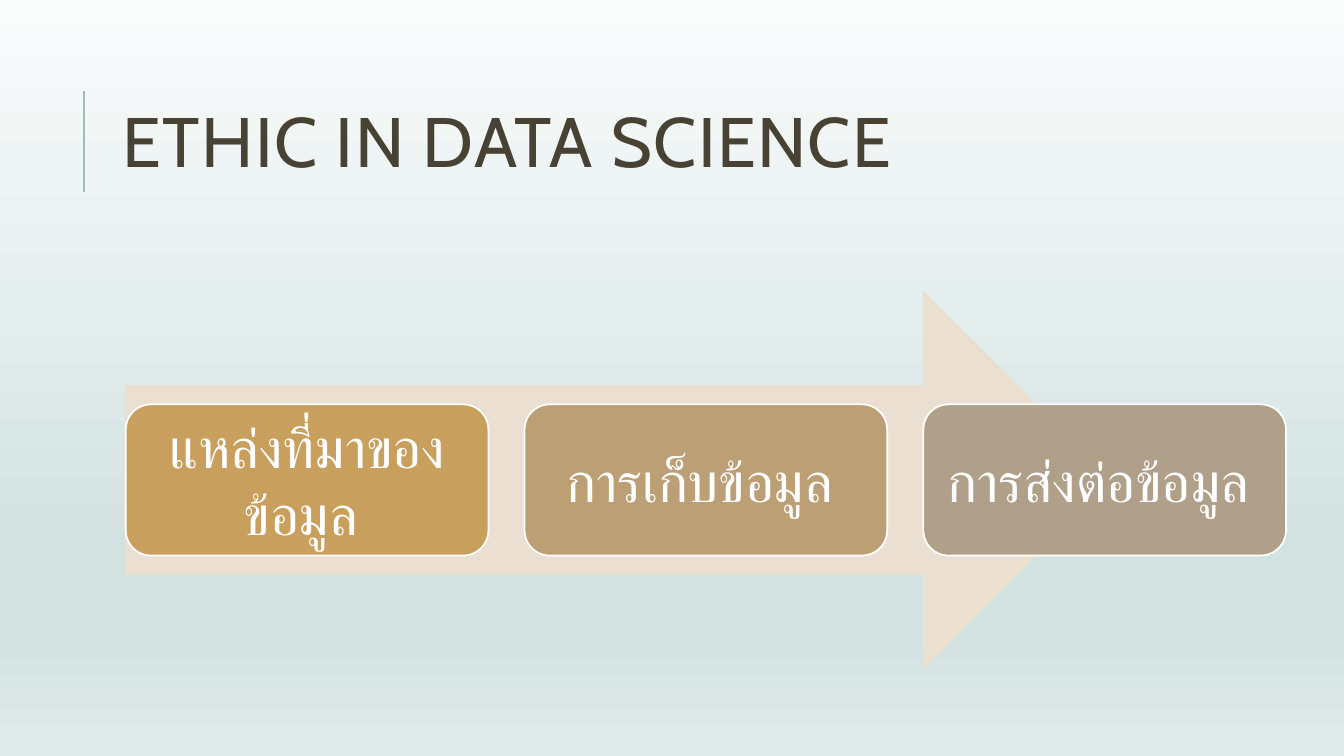
from lxml.etree import SubElement as Sub
from pptx import Presentation
from pptx.dml.color import RGBColor as RGB
from pptx.enum.shapes import MSO_CONNECTOR as Conn, MSO_SHAPE as Shape
from pptx.enum.text import MSO_ANCHOR as Anchor, MSO_AUTO_SIZE as Auto, PP_ALIGN as Align
from pptx.oxml.ns import qn
from pptx.util import Cm, Pt

# Content
TITLE = "ETHIC IN DATA SCIENCE"
STEPS = [
    ("แหล่งที่มาของข้อมูล ", "gold"),
    ("การเก็บข้อมูล ", "tan"),
    ("การส่งต่อข้อมูล ", "taupe"),
]
COLORS = {
    "ink": "474233", "rule": "9CBEBD", "arrow": "EBDFD2", "white": "FFFFFF",
    "gold": "C89F5D", "tan": "BC9F74", "taupe": "B1A089",
}
STOPS = [(0, "FAFCFC"), (74, "D2E2E1"), (83, "D2E2E1"), (100, "E1EBEB")]

# Layout in cm
LEFT, TOP, WIDE, HIGH, PITCH = 3.17, 10.19, 9.14, 3.81, 10.05
INSET = 0.43


def color(name):
    return RGB.from_string(COLORS[name])


def paint_back(slide):
    fill = slide.background.fill
    fill.gradient()
    fill.gradient_angle = 270
    stops = next(slide.element.iter(qn("a:gsLst")))
    for old in list(stops):
        stops.remove(old)
    for place, tone in STOPS:
        stop = Sub(stops, qn("a:gs"), pos=str(place * 1000))
        Sub(stop, qn("a:srgbClr"), val=tone)


def add_box(slide, kind, place, tone):
    box = slide.shapes.add_shape(kind, *map(Cm, place))
    box.shadow.inherit = False
    box.fill.solid()
    box.fill.fore_color.rgb = color(tone)
    box.line.fill.background()
    return box


def style(par, face, size, tone):
    run = par.runs[0]
    run.font.name = face
    run.font.size = Pt(size)
    run.font.bold = False
    run.font.color.rgb = color(tone)
    return run


def add_title(slide):
    title = slide.shapes.title
    title.left, title.top, title.width, title.height = map(Cm, (2.84, 1.63, 27, 4.17))
    frame = title.text_frame
    frame.text = TITLE
    frame.auto_size = Auto.NONE
    frame.vertical_anchor = Anchor.MIDDLE
    par = frame.paragraphs[0]
    par.alignment = Align.LEFT
    par.line_spacing = 0.8
    run = style(par, "Cabin", 50, "ink")
    run.font._element.set("spc", "100")


def add_step(slide, index, text, tone):
    place = (LEFT + index * PITCH, TOP, WIDE, HIGH)
    box = add_box(slide, Shape.ROUNDED_RECTANGLE, place, tone)
    box.line.color.rgb = color("white")
    box.line.width = Pt(1.25)
    frame = box.text_frame
    frame.text = text
    frame.word_wrap = True
    frame.vertical_anchor = Anchor.MIDDLE
    frame.margin_left = frame.margin_right = Cm(INSET)
    frame.margin_top = frame.margin_bottom = Cm(INSET)
    par = frame.paragraphs[0]
    par.alignment = Align.CENTER
    run = style(par, "Calibri", 40, "white")
    Sub(run.font._element, qn("a:cs"), typeface="Calibri")


def main():
    deck = Presentation()
    deck.slide_width, deck.slide_height = Cm(33.87), Cm(19.05)
    slide = deck.slides.add_slide(deck.slide_layouts[5])
    paint_back(slide)

    # Title with its rule
    rule = slide.shapes.add_connector(Conn.STRAIGHT, Cm(2.11), Cm(4.83), Cm(2.11), Cm(2.29))
    rule.line.color.rgb = color("rule")
    rule.line.width = Pt(1.5)
    Sub(rule._element.spPr, qn("a:effectLst"))
    add_title(slide)

    # Arrow behind the steps
    add_box(slide, Shape.RIGHT_ARROW, (3.15, 7.32, 24.89, 9.55), "arrow")
    for index, (text, tone) in enumerate(STEPS):
        add_step(slide, index, text, tone)

    deck.save("out.pptx")


if __name__ == "__main__":
    main()
